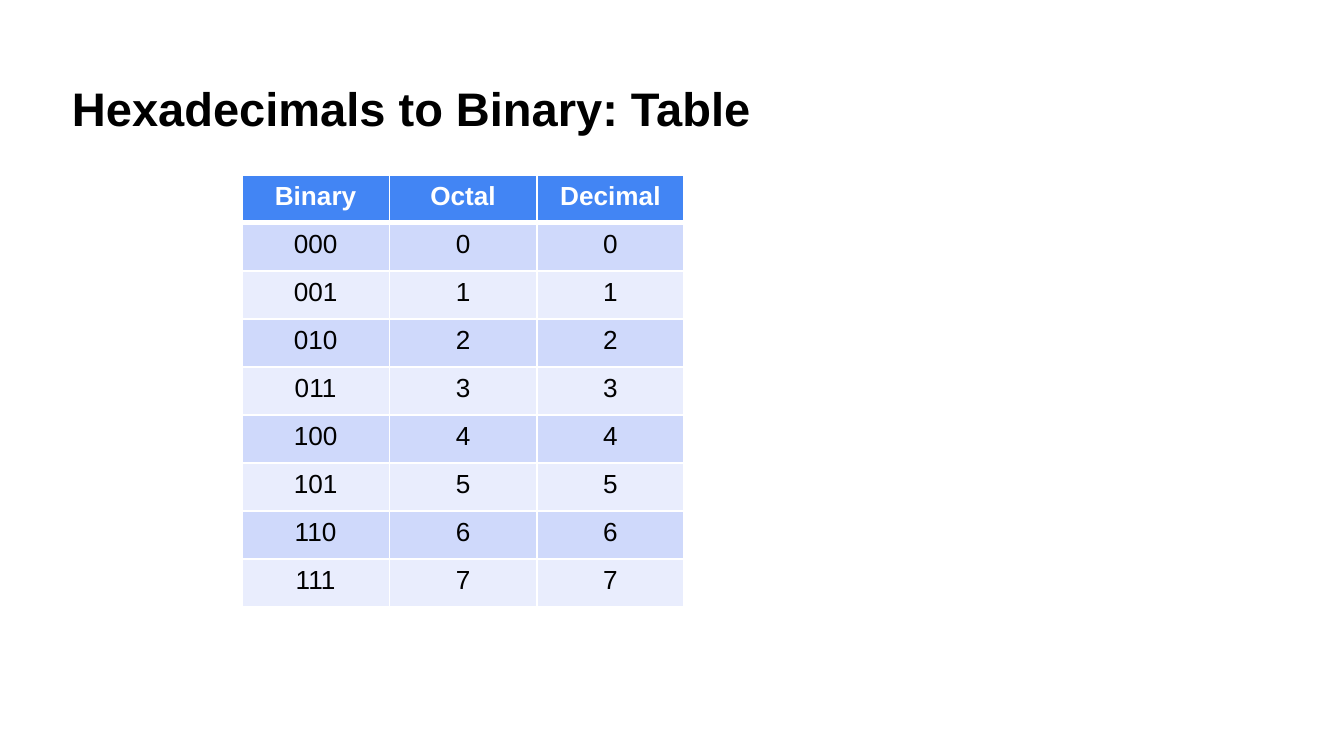
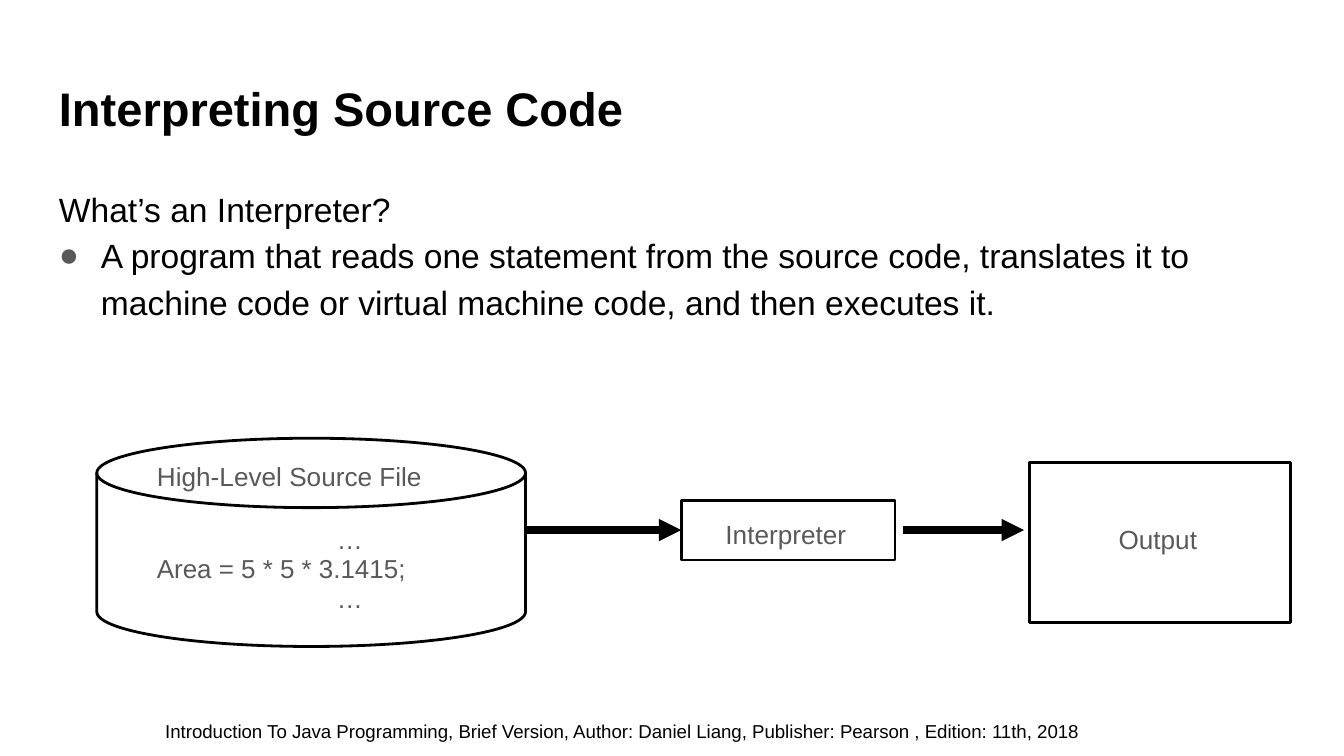
"""Build two slides: a number table and an interpreter diagram."""
from lxml import etree
from pptx import Presentation
from pptx.dml.color import RGBColor
from pptx.enum.shapes import MSO_CONNECTOR, MSO_SHAPE
from pptx.enum.text import PP_ALIGN
from pptx.oxml.ns import qn
from pptx.util import Pt

LEFT, MID = PP_ALIGN.LEFT, PP_ALIGN.CENTER
RECT, DRUM = MSO_SHAPE.RECTANGLE, MSO_SHAPE.FLOWCHART_DIRECT_ACCESS_STORAGE
LINE = MSO_CONNECTOR.STRAIGHT

HUES = {"ink": "000000", "gray": "595959", "white": "FFFFFF",
        "head": "4285F4", "odd": "CFD9FB", "even": "E9EDFD"}
FONTS = {
    "title": {"size": Pt(25.2), "bold": True, "hue": "ink"},
    "body": {"size": Pt(18), "hue": "ink"},
    "label": {"size": Pt(14), "hue": "gray"},
    "code": {"size": Pt(13.9), "hue": "gray"},
    "foot": {"size": Pt(10), "hue": "ink"},
    "head": {"size": Pt(14), "bold": True, "hue": "white"},
    "cell": {"size": Pt(14), "bold": False, "hue": "ink"},
}

HEADS = ("Binary", "Octal", "Decimal")
ROWS = [HEADS] + [(f"{n:03b}", f"{n:o}", str(n)) for n in range(8)]
GRID = {"left": 129.6, "top": 93.6, "col": 79, "row": 25.75}

TITLES = (("Hexadecimals to Binary: Table", 7), ("Interpreting Source Code", 0))
BODY = ["What’s an Interpreter?",
        "A program that reads one statement from the source code, translates it to "
        "machine code or virtual machine code, and then executes it."]
FOOT = ("Introduction To Java Programming, Brief Version, Author: Daniel Liang, "
        "Publisher: Pearson , Edition: 11th, 2018")
SHAPES = {
    "file": (DRUM, (110.9, 175.7, 111.6, 229.7), 270),
    "interp": (RECT, (365, 268, 114.5, 32), 0),
    "out": (RECT, (551.5, 247.7, 139.7, 85.7), 0),
}
LABELS = [
    ((77, 236.9, 214.6, 43.2), "label", 1.15, [("High-Level Source File", LEFT)]),
    ((77, 274.3, 221, 64.8), "code", 0.95,
     [("…", MID), ("Area = 5 * 5 * 3.1415;", LEFT), ("…", MID)]),
    ((381.6, 268, 103, 39.6), "label", 1.15, [("Interpreter", LEFT)]),
    ((568.8, 270.7, 103, 39.6), "label", 1.15, [("Output", MID)]),
]
ARROWS = [(281.5, 365, "interp"), (483.8, 548.6, None)]
FLOW = 284


def color(name):
    return RGBColor.from_string(HUES[name])


def style(par, kind):
    par.font.name = "Arial"
    for key, val in FONTS[kind].items():
        if key == "hue":
            par.font.color.rgb = color(val)
        else:
            setattr(par.font, key, val)


def add(root, tag, **attrs):
    return etree.SubElement(root, qn(tag), attrs)


def write(slide, box, kind, lines, space=1, pad=7.2):
    frame = slide.shapes.add_textbox(*map(Pt, box)).text_frame
    frame.word_wrap = True
    frame.margin_left = frame.margin_right = Pt(7.2)
    frame.margin_top = frame.margin_bottom = Pt(pad)
    for i, (text, align) in enumerate(lines):
        par = frame.add_paragraph() if i else frame.paragraphs[0]
        par.text, par.alignment, par.line_spacing = text, align, space
        style(par, kind)
    return frame


def bullet(par):
    props = par._p.get_or_add_pPr()
    props.set("marL", str(Pt(22.5)))
    props.set("indent", str(-Pt(22.5)))
    add(add(props, "a:buClr"), "a:srgbClr", val=HUES["gray"])
    add(props, "a:buFont", typeface="Arial")
    add(props, "a:buChar", char="●")


def border(cell, row):
    props = cell._tc.get_or_add_tcPr()
    thick = {(0, "B"), (1, "T")}
    for side in "LRTB":
        width = Pt(3 if (row, side) in thick else 1)
        edge = add(props, f"a:ln{side}", w=str(width))
        add(add(edge, "a:solidFill"), "a:srgbClr", val=HUES["white"])


def table(slide):
    cols, rows = len(HEADS), len(ROWS)
    size = (GRID["left"], GRID["top"], GRID["col"] * cols, GRID["row"] * rows)
    grid = slide.shapes.add_table(rows, cols, *map(Pt, size)).table
    for col in grid.columns:
        col.width = Pt(GRID["col"])
    for r, texts in enumerate(ROWS):
        grid.rows[r].height = Pt(GRID["row"])
        band = "head" if r == 0 else "odd" if r % 2 else "even"
        for c, text in enumerate(texts):
            cell = grid.cell(r, c)
            cell.text = text
            par = cell.text_frame.paragraphs[0]
            par.alignment = MID
            style(par, "cell" if r else "head")
            border(cell, r)
            cell.fill.solid()
            cell.fill.fore_color.rgb = color(band)


def shape(slide, kind, box, turn):
    item = slide.shapes.add_shape(kind, *map(Pt, box))
    item.shadow.inherit = False
    item.rotation = turn
    item.fill.background()
    item.line.color.rgb = color("ink")
    item.line.width = Pt(1.5)
    return item


def arrow(slide, start, end, goal):
    item = slide.shapes.add_connector(LINE, Pt(start), Pt(FLOW), Pt(end), Pt(FLOW))
    item.line.color.rgb = color("ink")
    item.line.width = Pt(4)
    add(item.line._get_or_add_ln(), "a:tailEnd", type="triangle")
    add(item._element.spPr, "a:effectLst")
    if goal is not None:
        item.end_connect(goal, 1)


def diagram(slide):
    nodes = {name: shape(slide, *spot) for name, spot in SHAPES.items()}
    for start, end, goal in ARROWS:
        arrow(slide, start, end, nodes.get(goal))
    for box, kind, space, lines in LABELS:
        write(slide, box, kind, lines, space)


def main():
    deck = Presentation()
    deck.slide_width, deck.slide_height = Pt(720), Pt(405)
    slides = []
    for text, shift in TITLES:
        slide = deck.slides.add_slide(deck.slide_layouts[6])
        write(slide, (24.5 + shift, 35.3, 671 - shift, 45.4), "title", [(text, LEFT)])
        slides.append(slide)
    first, second = slides
    table(first)
    body = write(second, (24.5, 90.7, 671, 110.9), "body",
                 [(text, LEFT) for text in BODY], 1.15)
    bullet(body.paragraphs[1])
    diagram(second)
    write(second, (81.4, 382.3, 557.3, 19.4), "foot", [(FOOT, LEFT)], pad=3.6)
    deck.save("out.pptx")


if __name__ == "__main__":
    main()
